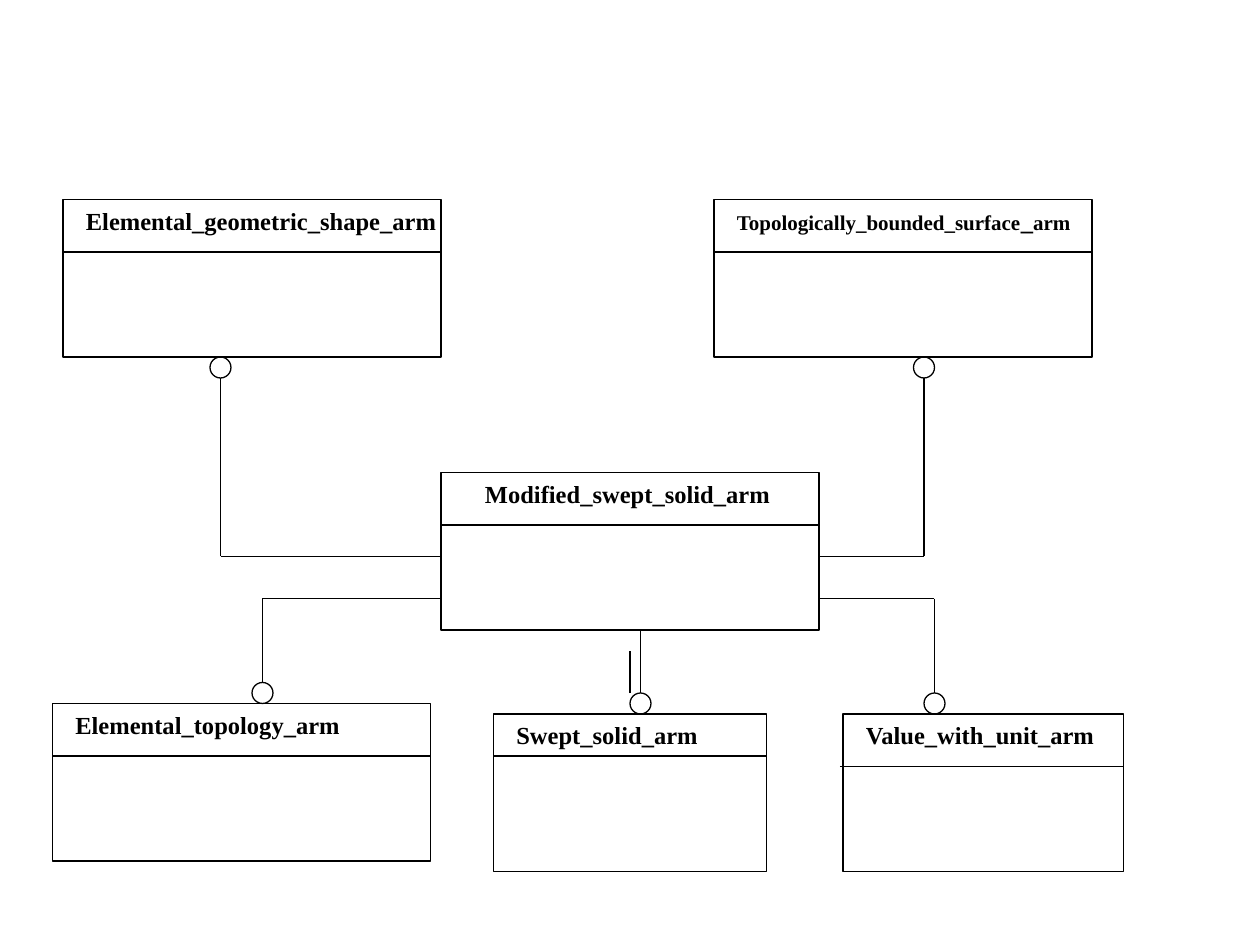
"""Build an entity diagram: titled boxes joined by routes that end in circles."""
import itertools

import pptx
import pptx.dml.color
import pptx.enum.shapes
import pptx.enum.text
import pptx.oxml
import pptx.util

Pt = pptx.util.Pt
BLACK = "000000"
FONT = "Times New Roman"
BOX_HEIGHT = 90
LABEL_HEIGHT = 24.5
DIAMETER = 12

ENTITIES = [
    {"runs": [("Modified_swept_solid_arm", 14)], "left": 252, "top": 270,
     "width": 216, "header": 30, "indent": 18, "label": 178.5},
    {"runs": [("Elemental_geometric_shape_arm", 14)], "left": 36, "top": 114,
     "width": 216, "header": 30, "indent": 6, "label": 216},
    {"runs": [("Topologically_bounded_surface", 12), ("_", 14), ("arm", 12)],
     "left": 408, "top": 114, "width": 216, "header": 30, "indent": 6, "label": 206.5},
    {"runs": [("Elemental_topology_arm", 14)], "left": 30, "top": 402,
     "width": 216, "header": 30, "indent": 6, "label": 166.5},
    {"runs": [("Value_with_unit_arm", 14)], "left": 481.7, "top": 408,
     "width": 160.3, "header": 30, "indent": 6, "label": 146.5, "overhang": 1.7},
    {"runs": [("Swept_solid_arm", 14)], "left": 282, "top": 408,
     "width": 156, "header": 24, "indent": 6, "label": 119},
]
CIRCLE_CENTRES = [(126, 210), (528, 210), (366, 402), (150, 396), (534, 402)]
ROUTES = [
    [(126, 216), (126, 318), (252, 318)],
    [(528, 216), (528, 318), (468, 318)],
    [(252, 342), (150, 342), (150, 390)],
    [(468, 342), (534, 342), (534, 396)],
    [(366, 360), (366, 396)],
    [(360, 396), (360, 372)],
]


def color(value):
    return pptx.dml.color.RGBColor.from_string(value)


def outline(shape):
    shape.line.color.rgb = color(BLACK)
    shape.line.width = Pt(0.75)


def add_outlined(page, kind, left, top, width, height):
    shape = page.shapes.add_shape(kind, Pt(left), Pt(top), Pt(width), Pt(height))
    shape.shadow.inherit = False
    shape.fill.background()
    outline(shape)


def add_line(page, start, end):
    line = page.shapes.add_connector(
        pptx.enum.shapes.MSO_CONNECTOR.STRAIGHT, *map(Pt, start + end))
    outline(line)
    line._element.spPr.append(pptx.oxml.parse_xml(
        '<a:effectLst xmlns:a="http://schemas.openxmlformats.org/drawingml/2006/main"/>'))


def add_label(page, runs, left, top, width):
    box = page.shapes.add_textbox(Pt(left), Pt(top), Pt(width), Pt(LABEL_HEIGHT))
    frame = box.text_frame
    frame.word_wrap = False
    frame.auto_size = pptx.enum.text.MSO_AUTO_SIZE.SHAPE_TO_FIT_TEXT
    for text, size in runs:
        span = frame.paragraphs[0].add_run()
        span.text = text
        span.font.name = FONT
        span.font.size = Pt(size)
        span.font.bold = True
        span.font.color.rgb = color(BLACK)


def add_entity(page, entity):
    left, top, width = entity["left"], entity["top"], entity["width"]
    divider = top + entity["header"]
    add_outlined(page, pptx.enum.shapes.MSO_SHAPE.RECTANGLE, left, top, width, BOX_HEIGHT)
    add_line(page, (left - entity.get("overhang", 0), divider), (left + width, divider))
    add_label(page, entity["runs"], left + entity["indent"], top, entity["label"])


def main():
    deck = pptx.Presentation()
    deck.slide_width, deck.slide_height = Pt(720), Pt(540)
    page = deck.slides.add_slide(deck.slide_layouts[6])
    for entity in ENTITIES:
        add_entity(page, entity)
    for x, y in CIRCLE_CENTRES:
        add_outlined(page, pptx.enum.shapes.MSO_SHAPE.OVAL,
                     x - DIAMETER / 2, y - DIAMETER / 2, DIAMETER, DIAMETER)
    for route in ROUTES:
        for start, end in itertools.pairwise(route):
            add_line(page, start, end)
    deck.save("out.pptx")


if __name__ == "__main__":
    main()
